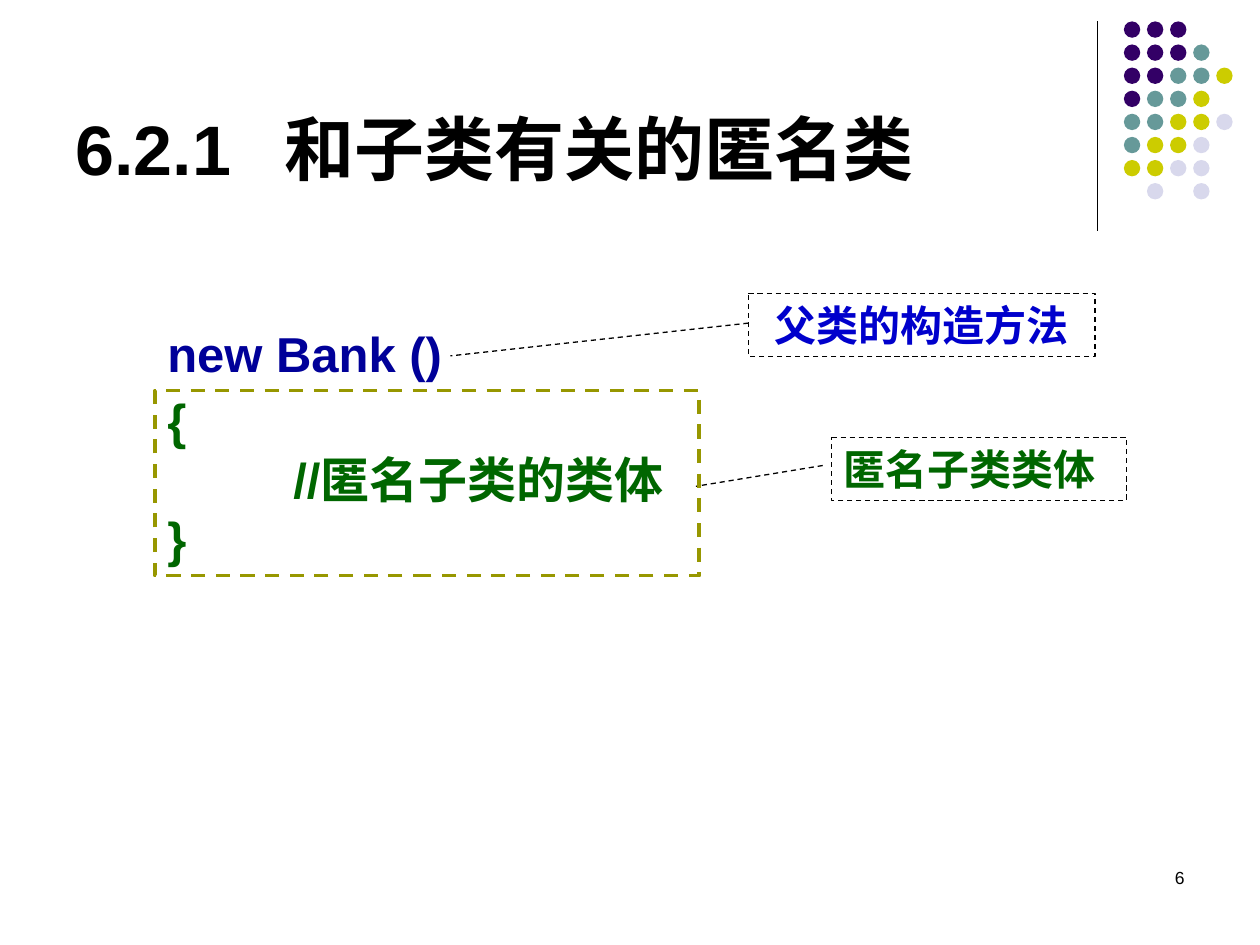
from typing import NamedTuple

from lxml.etree import SubElement
from pptx import Presentation
from pptx.dml.color import RGBColor
from pptx.enum.dml import MSO_LINE_DASH_STYLE as Dash
from pptx.enum.shapes import MSO_CONNECTOR as Conn, MSO_SHAPE as Shape
from pptx.enum.text import MSO_ANCHOR as Anchor, PP_ALIGN as Align
from pptx.oxml.ns import qn
from pptx.util import Inches, Pt

COLORS = {
    "black": "000000", "purple": "330066", "teal": "669999",
    "yellow": "CCCC00", "lavender": "D8D8EC", "green": "006600",
    "blue": "0000CC", "navy": "000099", "olive": "979700",
}
DOT_COLORS = {"P": "purple", "T": "teal", "Y": "yellow", "L": "lavender"}
DOT_ROWS = ["PPP", "PPPT", "PPTTY", "PTTY", "TTYYL", "TYYL", "YYLL", " L L"]
DOT_LEFT, DOT_TOP, DOT_SIZE, DOT_PITCH = 8.92, 0.17, 0.13, 1.1 / 6
LATIN, CJK = "Arial", "Noto Sans CJK SC"


class Box(NamedTuple):
    left: float
    top: float
    width: float
    height: float


class Style(NamedTuple):
    size: float
    color: str
    bold: bool = True
    align: Align = Align.LEFT


class Label(NamedTuple):
    box: Box
    lines: list[list[str]]
    style: Style
    east_asian: str = LATIN
    anchor: Anchor = Anchor.TOP
    wrap: bool = True
    tab: float = 1


class Callout(NamedTuple):
    box: Box
    text: str
    style: Style
    adjustments: tuple[float, ...]


LABELS = [
    Label(Box(0.5, 0.13, 8.25, 1.42), [["6.2.1\t", "和子类有关的匿名类"]],
          Style(40, "black"), CJK, Anchor.BOTTOM, tab=1.66),
    Label(Box(7.17, 6.83, 2.33, 0.5), [["6"]], Style(10, "black", False, Align.RIGHT)),
    Label(Box(1.23, 3.05, 5.19, 1.51), [["{"], ["\t//匿名子类的类体"], ["}"]],
          Style(28, "green")),
    Label(Box(1.23, 2.52, 2.52, 0.57), [["new Bank ()"]], Style(28, "navy"), wrap=False),
]
CALLOUTS = [
    Callout(Box(6.6, 3.47, 2.34, 0.5), "匿名子类类体", Style(24, "green"),
            (0.45, -0.03, 0.78, -0.46)),
    Callout(Box(5.94, 2.33, 2.75, 0.5), "父类的构造方法",
            Style(24, "blue", align=Align.CENTER), (0.47, 0, 0.99, -0.86)),
]


def rgb(name: str) -> RGBColor:
    """Look up a named colour."""
    return RGBColor.from_string(COLORS[name])


def place(box: Box) -> list[int]:
    """Convert a box to slide lengths."""
    return [Inches(v) for v in box]


def add_run(p, text: str, style: Style, east_asian: str) -> None:
    """Append one formatted run to a paragraph."""
    r = p.add_run()
    r.text = text
    r.font.name, r.font.size, r.font.bold = LATIN, Pt(style.size), style.bold
    r.font.color.rgb = rgb(style.color)
    SubElement(r.font._element, qn("a:ea"), typeface=east_asian)


def add_label(s, label: Label) -> None:
    """Draw a text box with its paragraphs."""
    tf = s.shapes.add_textbox(*place(label.box)).text_frame
    tf.word_wrap, tf.vertical_anchor = label.wrap, label.anchor
    for i, line in enumerate(label.lines):
        p = tf.add_paragraph() if i else tf.paragraphs[0]
        p.alignment = label.style.align
        if any("\t" in text for text in line):
            tabs = SubElement(p._p.get_or_add_pPr(), qn("a:tabLst"))
            SubElement(tabs, qn("a:tab"), pos=str(Inches(label.tab)), algn="l")
        for text in line:
            add_run(p, text, label.style, label.east_asian)


def add_outline(s, shape: Shape, box: Box, color: str, width: float):
    """Draw an unfilled shape with a dashed border."""
    sp = s.shapes.add_shape(shape, *place(box))
    sp.shadow.inherit = False
    sp.fill.background()
    sp.line.color.rgb, sp.line.width = rgb(color), Pt(width)
    sp.line.dash_style = Dash.DASH
    return sp


def add_callout(s, callout: Callout) -> None:
    """Draw a bordered callout with its leader and text."""
    sp = add_outline(s, Shape.LINE_CALLOUT_1, callout.box, "black", 0.75)
    for i, value in enumerate(callout.adjustments):
        sp.adjustments[i] = value
    tf = sp.text_frame
    tf.word_wrap, tf.vertical_anchor = True, Anchor.TOP
    p = tf.paragraphs[0]
    p.alignment = callout.style.align
    add_run(p, callout.text, callout.style, LATIN)


def add_dots(s) -> None:
    """Draw the grouped corner pattern of dots."""
    group = s.shapes.add_group_shape()
    for row, codes in enumerate(DOT_ROWS):
        for col, code in enumerate(codes):
            if code in DOT_COLORS:
                box = Box(DOT_LEFT + col * DOT_PITCH, DOT_TOP + row * DOT_PITCH,
                          DOT_SIZE, DOT_SIZE)
                sp = group.shapes.add_shape(Shape.OVAL, *place(box))
                sp.shadow.inherit = False
                sp.fill.solid()
                sp.fill.fore_color.rgb = rgb(DOT_COLORS[code])
                sp.line.fill.background()


def add_divider(s) -> None:
    """Draw the vertical rule beside the title."""
    line = s.shapes.add_connector(Conn.STRAIGHT, Inches(8.71), Inches(0.17),
                                  Inches(8.71), Inches(1.83))
    line.line.color.rgb, line.line.width = rgb("black"), Pt(0.75)
    SubElement(line._element.spPr, qn("a:effectLst"))


def main() -> None:
    """Build and save the slide."""
    prs = Presentation()
    prs.slide_width, prs.slide_height = Inches(10), Inches(7.5)
    s = prs.slides.add_slide(prs.slide_layouts[6])
    add_divider(s)
    add_dots(s)
    for label in LABELS:
        add_label(s, label)
    for callout in CALLOUTS:
        add_callout(s, callout)
    add_outline(s, Shape.RECTANGLE, Box(1.23, 3.1, 4.32, 1.47), "olive", 2)
    prs.save("out.pptx")


if __name__ == "__main__":
    main()
